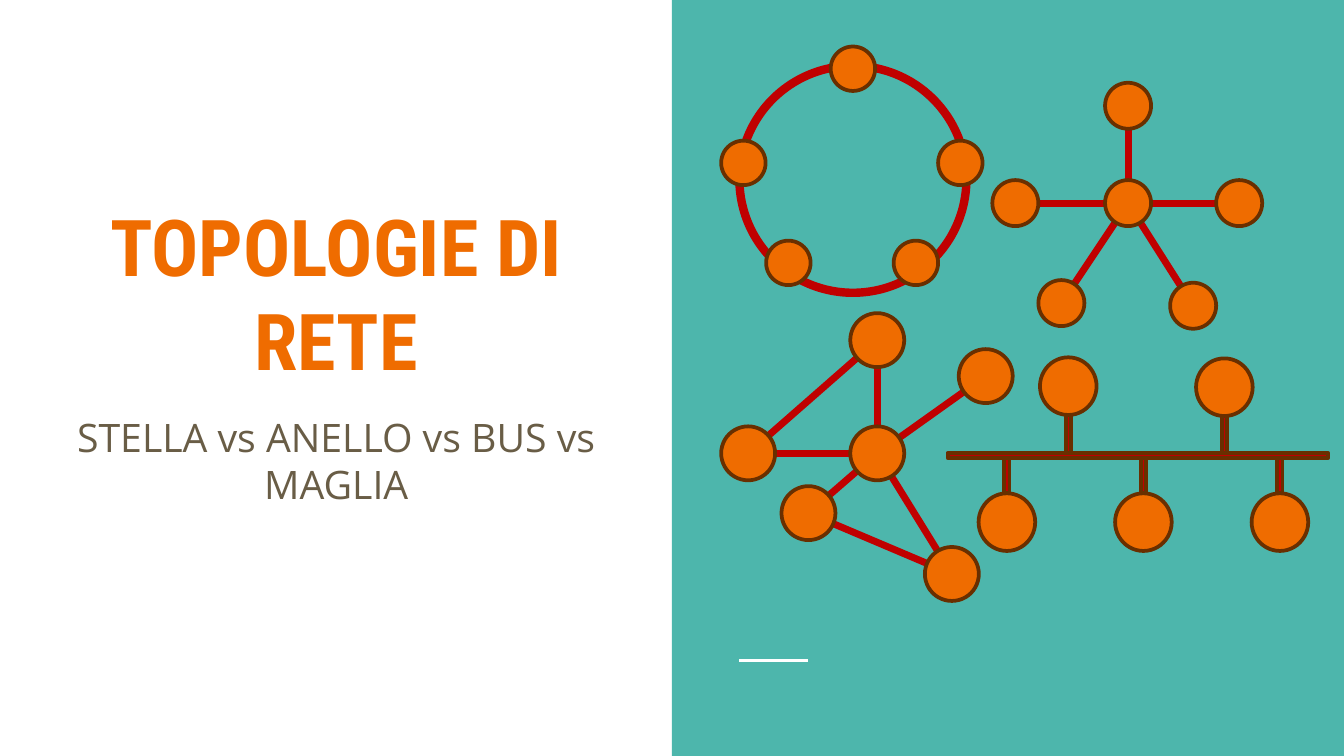
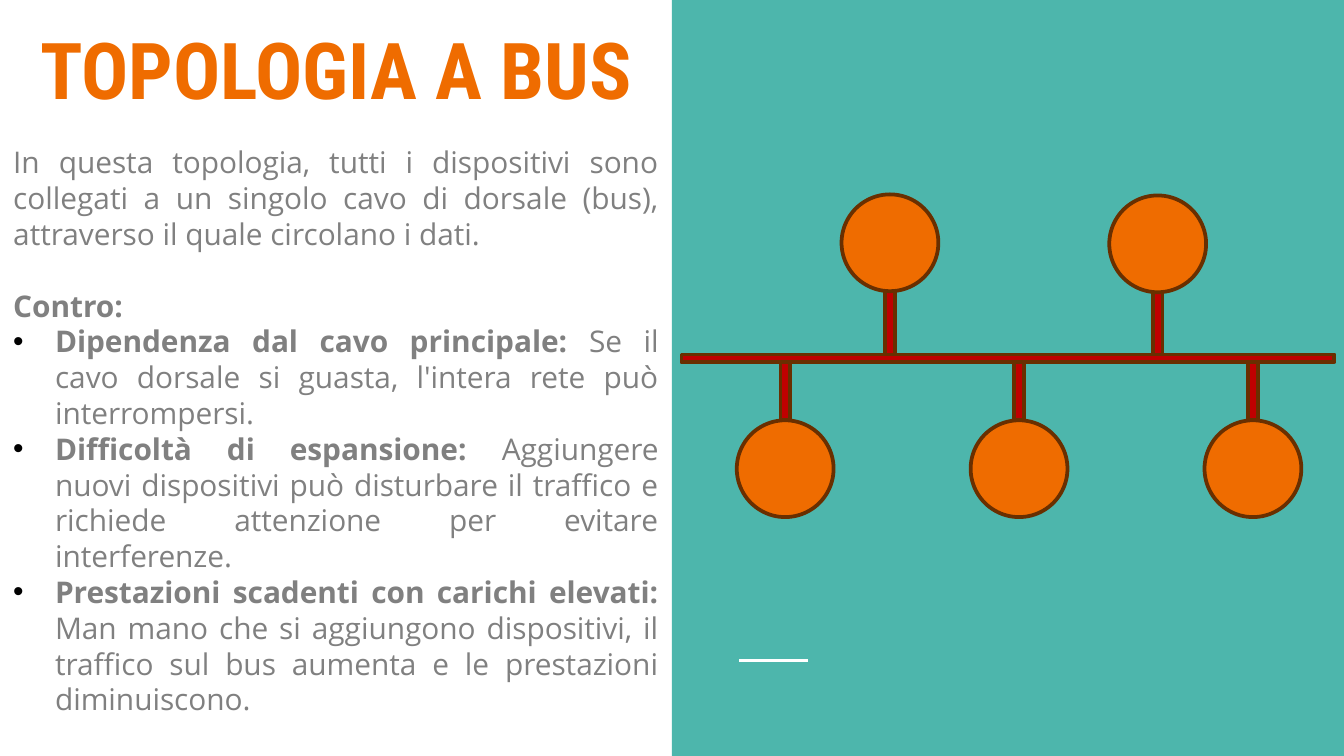
import math

import pptx
import pptx.dml.color
import pptx.enum.shapes
import pptx.enum.text
import pptx.oxml
import pptx.oxml.ns
import pptx.util

Cm = pptx.util.Cm
Pt = pptx.util.Pt
Align = pptx.enum.text.PP_ALIGN
Anchor = pptx.enum.text.MSO_ANCHOR
Shape = pptx.enum.shapes.MSO_SHAPE


def color(value):
    return pptx.dml.color.RGBColor.from_string(value)


def add_xml(parent, tag, attributes="", inner=""):
    namespace = pptx.oxml.ns.nsdecls("a")
    element = pptx.oxml.parse_xml(f"<a:{tag} {namespace} {attributes}>{inner}</a:{tag}>")
    parent.append(element)


class Page:
    TEAL, ORANGE, BROWN, RED = "4DB6AC", "EF6C00", "692F00", "C00000"
    WHITE, OLIVE, GRAY, BLACK = "FFFFFF", "695D46", "808080", "000000"
    TITLE_FONT, TEXT_FONT = "Roboto Condensed", "Open Sans"
    WIDTH, HEIGHT, HALF = 25.4, 14.29, 12.7

    def __init__(self, deck, layout):
        self.slide = deck.slides.add_slide(deck.slide_layouts[layout])
        self.slide.background.fill.solid()
        self.slide.background.fill.fore_color.rgb = color(self.WHITE)
        self.shapes = self.slide.shapes
        self.block(Shape.RECTANGLE, self.HALF, 0, self.HALF, self.HEIGHT, self.TEAL)
        self.line((13.97, 12.49), (15.27, 12.49), self.WHITE, 1.5)

    def group(self):
        self.shapes = self.slide.shapes.add_group_shape().shapes

    def block(self, kind, left, top, width, height, fill, outline=None, weight=2):
        shape = self.shapes.add_shape(kind, Cm(left), Cm(top), Cm(width), Cm(height))
        shape.shadow.inherit = False
        if fill:
            shape.fill.solid()
            shape.fill.fore_color.rgb = color(fill)
        else:
            shape.fill.background()
        if outline:
            shape.line.color.rgb = color(outline)
            shape.line.width = Pt(weight)
        else:
            shape.line.fill.background()

    def line(self, start, end, stroke, weight):
        points = [Cm(value) for value in (*start, *end)]
        connector = self.shapes.add_connector(
            pptx.enum.shapes.MSO_CONNECTOR.STRAIGHT, *points)
        connector.line.color.rgb = color(stroke)
        connector.line.width = Pt(weight)
        add_xml(connector._element.spPr, "effectLst")

    def node(self, center, width, height=None):
        height = height or width
        self.block(Shape.OVAL, center[0] - width / 2, center[1] - height / 2,
                   width, height, self.ORANGE, self.BROWN)

    def cable(self, left, top, width, height):
        self.block(Shape.RECTANGLE, left, top, width, height, self.RED, self.BROWN)

    def link(self, start, end, trim):
        share = trim / math.dist(start, end)
        shift = [(b - a) * share for a, b in zip(start, end)]
        self.line([a + d for a, d in zip(start, shift)],
                  [b - d for b, d in zip(end, shift)], self.RED, 3.75)

    def ring(self, center, diameter, nodes, size):
        self.group()
        self.block(Shape.OVAL, center[0] - diameter / 2, center[1] - diameter / 2,
                   diameter, diameter, None, self.RED, 4.5)
        for point in nodes:
            self.node(point, size)

    def network(self, nodes, links, size):
        self.group()
        for start, end in links:
            self.link(nodes[start], nodes[end], size / 2)
        for point in nodes:
            self.node(point, size)

    def bus(self, bar, upper, lower, size, stem):
        left, top, width, thickness = bar
        node_width, node_height = size
        bottom = top + thickness
        self.group()
        self.cable(*bar)
        for x, y in upper:
            node_bottom = y + node_height / 2
            self.cable(x - stem / 2, node_bottom, stem, top - node_bottom)
        for x, y in lower:
            self.cable(x - stem / 2, bottom, stem, y - node_height / 2 - bottom)
        for point in upper + lower:
            self.node(point, node_width, node_height)

    def place(self, box, left, top, width, height, anchor, margin=0.25):
        box.left, box.top, box.width, box.height = map(Cm, (left, top, width, height))
        frame = box.text_frame
        frame.word_wrap = True
        frame.auto_size = pptx.enum.text.MSO_AUTO_SIZE.NONE
        frame.vertical_anchor = anchor
        frame.margin_left = frame.margin_right = Cm(0.25)
        frame.margin_top = frame.margin_bottom = Cm(margin)
        return frame

    def style(self, para, font, size, tint, align, before=0):
        para.alignment = align
        para.line_spacing = 1.0
        para.space_before = Pt(before)
        para.space_after = Pt(0)
        for span in para.runs:
            span.font.name = font
            span.font.size = Pt(size)
            span.font.color.rgb = color(tint)

    def title(self, text, place, anchor):
        frame = self.place(self.slide.shapes.title, *place, anchor)
        frame.text = text
        para = frame.paragraphs[0]
        self.style(para, self.TITLE_FONT, 42, self.ORANGE, Align.CENTER)
        para.runs[0].font.bold = True

    def subtitle(self, text, place):
        frame = self.place(self.slide.placeholders[1], *place, Anchor.TOP)
        frame.text = text
        self.style(frame.paragraphs[0], self.TEXT_FONT, 21, self.OLIVE, Align.CENTER)

    def body(self, items, place):
        frame = self.place(self.slide.placeholders[1], *place, Anchor.TOP, 0.13)
        for index, (bold, plain, bullet, before) in enumerate(items):
            para = frame.add_paragraph() if index else frame.paragraphs[0]
            self.bullet(para, bullet)
            for text, heavy in ((bold, True), (plain, False)):
                if text:
                    span = para.add_run()
                    span.text = text
                    span.font.bold = heavy
            self.style(para, self.TEXT_FONT, 16, self.GRAY, Align.JUSTIFY, before)

    def bullet(self, para, shown):
        properties = para._p.get_or_add_pPr()
        indent = Cm(0.79) if shown else 0
        properties.set("marL", str(indent))
        properties.set("indent", str(-indent))
        if shown:
            add_xml(properties, "buClr", inner=f'<a:srgbClr val="{self.BLACK}"/>')
            add_xml(properties, "buFont", 'typeface="Arial"')
            add_xml(properties, "buChar", 'char="•"')
        else:
            add_xml(properties, "buNone")


def build_overview(deck):
    page = Page(deck, 0)
    page.title("TOPOLOGIE DI RETE", (0.74, 2.9, 11.23, 4.65), Anchor.BOTTOM)
    page.subtitle("STELLA vs ANELLO vs BUS vs MAGLIA", (0.74, 7.57, 11.23, 3.43))

    star = [(21.32, 3.84), (19.19, 3.84), (21.32, 2.0), (23.42, 3.84),
            (20.06, 5.73), (22.55, 5.78)]
    page.network(star, [(0, outer) for outer in range(1, len(star))], 0.87)

    ring = [(14.05, 3.08), (16.12, 1.3), (18.15, 3.08), (14.9, 4.97), (17.31, 4.97)]
    page.ring((16.12, 3.39), 4.29, ring, 0.84)

    page.bus((17.91, 8.56, 7.19, 0.1),
             [(20.19, 7.3), (23.14, 7.32)],
             [(19.03 + 2.58 * step, 9.87) for step in range(3)],
             (1.07, 1.09), 0.1)

    mesh = [(16.58, 8.57), (14.14, 8.57), (16.58, 6.43), (18.63, 7.11),
            (15.28, 9.7), (17.99, 10.85)]
    spokes = [(0, outer) for outer in range(1, len(mesh))]
    page.network(mesh, spokes + [(1, 2), (4, 5)], 1.02)


def build_bus(deck):
    page = Page(deck, 1)
    page.title("TOPOLOGIA A BUS", (0, 0, Page.HALF, 2.59), Anchor.MIDDLE)
    page.body([
        ("", "In questa topologia, tutti i dispositivi sono collegati a un singolo "
             "cavo di dorsale (bus), attraverso il quale circolano i dati.", False, 0),
        ("Contro:", "", False, 19.2),
        ("Dipendenza dal cavo principale: ",
         "Se il cavo dorsale si guasta, l'intera rete può interrompersi.", True, 0),
        ("Difficoltà di espansione:",
         " Aggiungere nuovi dispositivi può disturbare il traffico e richiede "
         "attenzione per evitare interferenze.", True, 0),
        ("Prestazioni scadenti con carichi elevati: ",
         "Man mano che si aggiungono dispositivi, il traffico sul bus aumenta e le "
         "prestazioni diminuiscono.", True, 0),
    ], (0, 2.59, Page.HALF, 11.2))
    page.bus((12.88, 6.7, 12.34, 0.15),
             [(16.82, 4.59), (21.88, 4.61)],
             [(14.84 + 4.42 * step, 8.86) for step in range(3)],
             (1.83, 1.83), 0.18)


def main():
    deck = pptx.Presentation()
    deck.slide_width, deck.slide_height = Cm(Page.WIDTH), Cm(Page.HEIGHT)
    build_overview(deck)
    build_bus(deck)
    deck.save("out.pptx")


if __name__ == "__main__":
    main()
